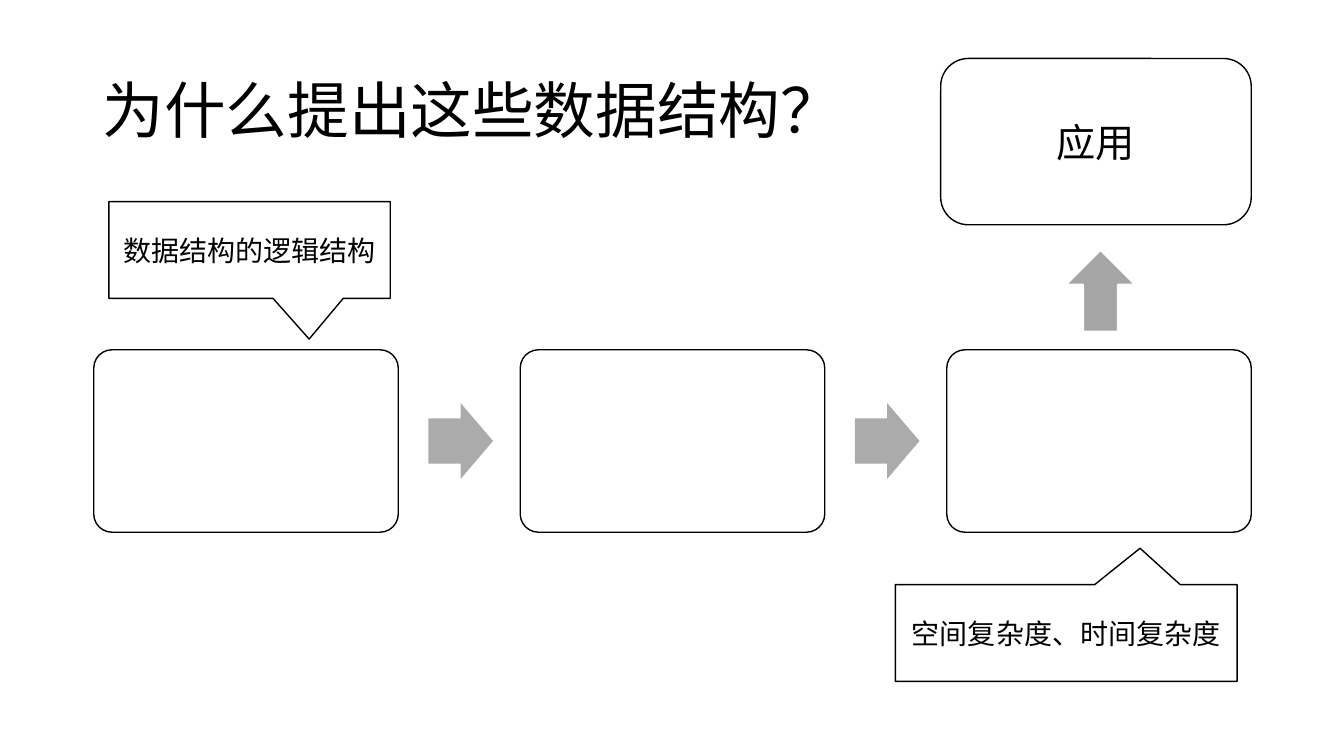
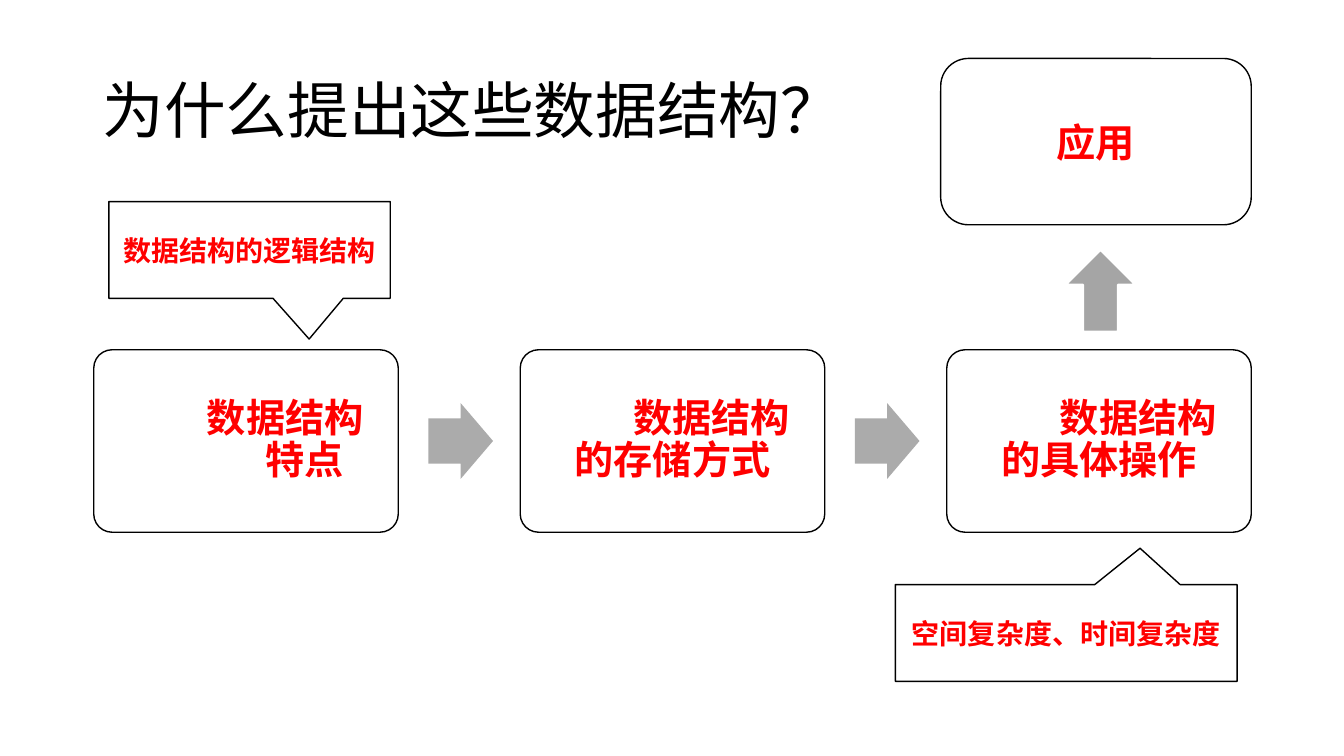
from dataclasses import dataclass

from lxml import etree
from pptx import Presentation
from pptx import util as u
from pptx.dml import color
from pptx.enum import shapes, text
from pptx.oxml import ns

SHAPE = shapes.MSO_SHAPE
ALIGN = text.PP_ALIGN


@dataclass(frozen=True)
class Theme:
    font: str = "Noto Sans CJK SC"
    ink: str = "000000"
    accent: str = "FF0000"
    paper: str = "FFFFFF"
    step_arrow: str = "ABABAB"
    up_arrow: str = "A5A5A5"
    title: int = 44
    body: int = 28
    note: int = 20
    line_spacing: float = 0.9
    outline: float = 1
    arrow_outline: float = 1.5


class Deck:
    """Holds the style and the current slide."""

    def __init__(self, theme):
        self.t = theme
        self.prs = Presentation()
        self.prs.slide_width = u.Inches(13.33)
        self.prs.slide_height = u.Inches(7.5)
        self.s = None

    def new_slide(self):
        self.s = self.prs.slides.add_slide(self.prs.slide_layouts[6])

    def frame(self, sp):
        tf = sp.text_frame
        tf.word_wrap = True
        tf.vertical_anchor = text.MSO_ANCHOR.MIDDLE
        return tf

    def run(self, p, words, size, strong=False):
        r = p.add_run()
        r.text = words
        f = r.font
        f.size, f.bold, f.name = u.Pt(size), strong, self.t.font
        f.color.rgb = color.RGBColor.from_string(
            self.t.accent if strong else self.t.ink)
        # East Asian glyphs take their own typeface entry
        ea = etree.SubElement(r._r.get_or_add_rPr(), ns.qn("a:ea"))
        ea.set("typeface", self.t.font)

    def title(self, words):
        sp = self.s.shapes.add_textbox(*map(u.Inches, (0.92, 0.4, 11.5, 1.45)))
        p = self.frame(sp).paragraphs[0]
        p.line_spacing = self.t.line_spacing
        self.run(p, words, self.t.title)

    def shape(self, kind, at, fill, line=None, width=1, adj=()):
        sp = self.s.shapes.add_shape(kind, *map(u.Inches, at))
        sp.shadow.inherit = False
        sp.fill.solid()
        sp.fill.fore_color.rgb = color.RGBColor.from_string(fill)
        if line:
            sp.line.color.rgb = color.RGBColor.from_string(line)
            sp.line.width = u.Pt(width)
        else:
            sp.line.fill.background()
        for i, value in enumerate(adj):
            sp.adjustments[i] = value
        return sp

    def box(self, kind, at, adj=()):
        return self.shape(kind, at, self.t.paper, self.t.ink,
                          self.t.outline, adj)

    def label(self, sp, words, size, strong):
        p = self.frame(sp).paragraphs[0]
        p.alignment = ALIGN.CENTER
        self.run(p, words, size, strong)

    def step(self, at, lines):
        """Rounded box; each line is (indent in characters, words)."""
        sp = self.box(SHAPE.ROUNDED_RECTANGLE, at, (0.1,))
        tf = self.frame(sp)
        for i, (indent, words) in enumerate(lines):
            p = tf.add_paragraph() if i else tf.paragraphs[0]
            p.alignment = ALIGN.CENTER
            p.line_spacing = self.t.line_spacing
            p._p.get_or_add_pPr().set("marL", str(u.Pt(indent * self.t.body)))
            self.run(p, words, self.t.body, True)

    def callout(self, at, tip, words, strong):
        sp = self.box(SHAPE.RECTANGULAR_CALLOUT, at, tip)
        self.label(sp, words, self.t.note, strong)


STEPS = [
    [(2, "数据结构"), (3, "特点")],
    [(2, "数据结构"), (0, "的存储方式")],
    [(2, "数据结构"), (0, "的具体操作")],
]
STEP_LEFT, STEP_PITCH = 0.93, 4.23


def build_flow(deck, answered):
    t = deck.t
    deck.new_slide()
    deck.title("为什么提出这些数据结构？")

    # Row of steps joined by arrows
    for i, lines in enumerate(STEPS):
        left = STEP_LEFT + i * STEP_PITCH
        deck.step((left, 3.47, 3.02, 1.81), lines if answered else [])
        if i < len(STEPS) - 1:
            deck.shape(SHAPE.RIGHT_ARROW, (left + 3.32, 4, 0.64, 0.75),
                       t.step_arrow, adj=(0.6, 0.5))

    # Notes on the first and last step
    deck.callout((8.88, 5.8, 3.39, 0.96), (0.216, -0.876),
                 "空间复杂度、时间复杂度", answered)
    deck.callout((1.08, 2, 2.79, 0.96), (0.212, 0.921),
                 "数据结构的逻辑结构", answered)

    # Outcome above the last step
    deck.shape(SHAPE.UP_ARROW, (10.57, 2.48, 0.69, 0.81),
               t.up_arrow, t.paper, t.arrow_outline)
    outcome = deck.box(SHAPE.ROUNDED_RECTANGLE, (9.33, 0.58, 3.08, 1.65))
    deck.label(outcome, "应用", t.body, answered)


def main():
    deck = Deck(Theme())
    for answered in (False, True):
        build_flow(deck, answered)
    deck.prs.save("out.pptx")


if __name__ == "__main__":
    main()
